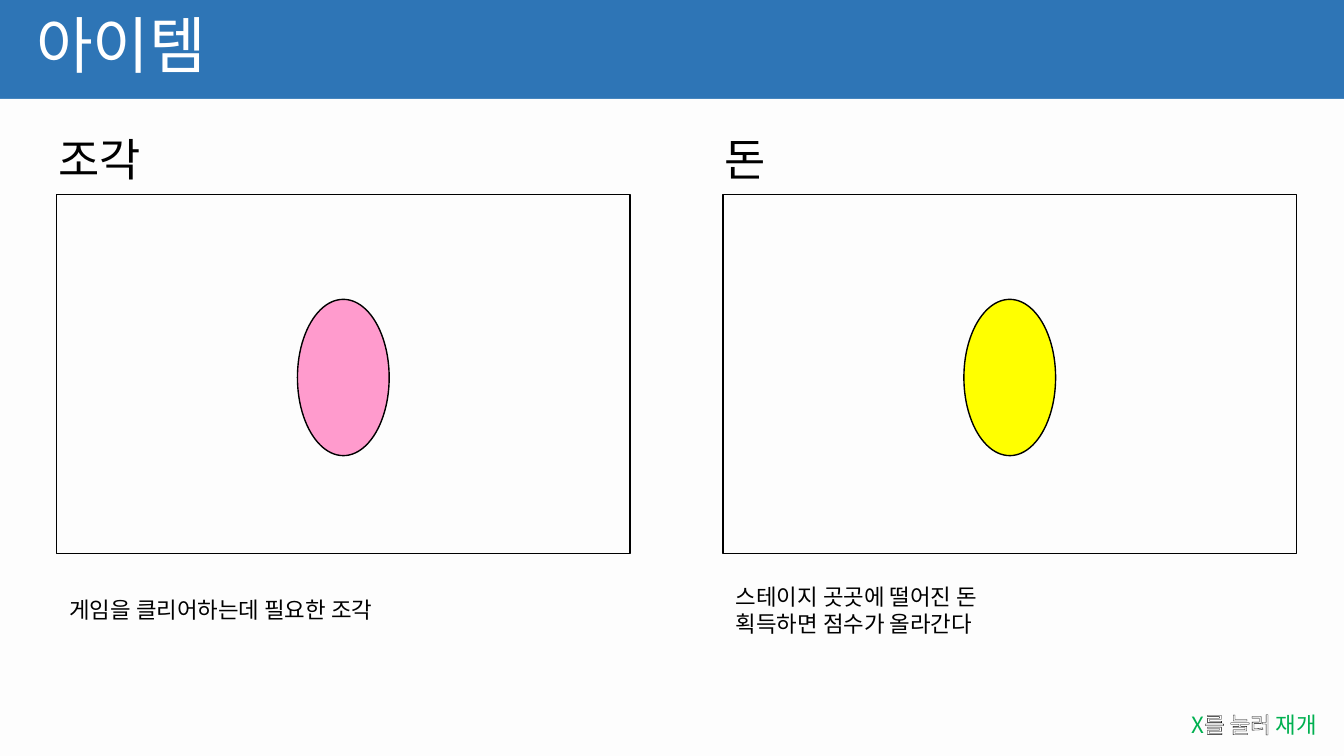
from dataclasses import dataclass

from lxml.etree import SubElement
from pptx import Presentation
from pptx.dml.color import RGBColor as Rgb
from pptx.enum.shapes import MSO_SHAPE as Shape
from pptx.enum.text import MSO_ANCHOR as Anchor, MSO_AUTO_SIZE as Fit, PP_ALIGN as Align
from pptx.oxml import parse_xml
from pptx.oxml.ns import nsdecls, qn
from pptx.util import Inches, Pt


@dataclass(frozen=True)
class Theme:
    font: str = "Noto Sans CJK KR"
    blue: str = "2E75B6"
    paper: str = "FDFDFD"
    white: str = "FFFFFF"
    black: str = "000000"
    green: str = "00B050"
    pink: str = "FF9BCD"
    yellow: str = "FFFF00"
    title: int = 44
    head: int = 32
    body: int = 16


THEME = Theme()
WIDTH, HEIGHT, BAND = 13.33, 7.5, 0.98


def write(shape, lines, size, color=THEME.black, align=Align.LEFT,
          anchor=Anchor.TOP, fit=Fit.SHAPE_TO_FIT_TEXT, space=None, edge=None):
    """Fill a shape with lines; each is a string or a list of (text, color) runs."""
    frame = shape.text_frame
    frame.word_wrap = True
    frame.auto_size = fit
    frame.vertical_anchor = anchor
    for i, line in enumerate(lines):
        para = frame.add_paragraph() if i else frame.paragraphs[0]
        para.alignment = align
        if space:
            para.line_spacing = space
        for text, tint in [(line, color)] if isinstance(line, str) else line:
            run = para.add_run()
            run.text = text
            font = run.font
            font.name, font.size = THEME.font, Pt(size)
            font.color.rgb = Rgb.from_string(tint)
            props = run._r.get_or_add_rPr()
            SubElement(props, qn("a:ea"), typeface=THEME.font)
            if edge:
                props.insert(0, parse_xml(
                    f'<a:ln {nsdecls("a")} w="9525"><a:solidFill>'
                    f'<a:srgbClr val="{edge}"/></a:solidFill></a:ln>'))


def label(slide, box, lines, size, **style):
    write(slide.shapes.add_textbox(*map(Inches, box)), lines, size, **style)


def draw(slide, kind, box, fill=None, line=None):
    shape = slide.shapes.add_shape(kind, *map(Inches, box))
    shape.shadow.inherit = False
    if fill:
        shape.fill.solid()
        shape.fill.fore_color.rgb = Rgb.from_string(fill)
    else:
        shape.fill.background()
    if line:
        shape.line.color.rgb = Rgb.from_string(line)
        shape.line.width = Pt(1)
    else:
        shape.line.fill.background()


def header(slide, box, text):
    title = slide.shapes.title
    title.left, title.top, title.width, title.height = map(Inches, box)
    write(title, [text], THEME.title, color=THEME.white,
          anchor=Anchor.MIDDLE, fit=Fit.NONE, space=0.9)


def card(slide, box, name, notes, color):
    """Place an item's name above its framed oval and the notes below."""
    left, top, width, height = box
    label(slide, (left - 0.08, top - 0.67, 2.36, 0.64), [name], THEME.head)
    draw(slide, Shape.RECTANGLE, box, line=THEME.black)
    wide, tall = 0.91, 1.55
    oval = (left + (width - wide) / 2, top + 1.04, wide, tall)
    draw(slide, Shape.OVAL, oval, fill=color, line=THEME.black)
    deep = 0.1 + 0.27 * len(notes)
    middle = top + height + 0.56
    label(slide, (left + 0.03, middle - deep / 2, 5.62, deep), notes,
          THEME.body, anchor=Anchor.MIDDLE)


def prompt(slide, box):
    runs = [("X", THEME.green), ("를 눌러 ", THEME.white), ("재개", THEME.green)]
    label(slide, box, [runs], THEME.body, align=Align.RIGHT,
          anchor=Anchor.MIDDLE, edge=THEME.black)


def main():
    deck = Presentation()
    deck.slide_width, deck.slide_height = Inches(WIDTH), Inches(HEIGHT)
    slide = deck.slides.add_slide(deck.slide_layouts[5])
    back = slide.background.fill
    back.solid()
    back.fore_color.rgb = Rgb.from_string(THEME.blue)
    draw(slide, Shape.RECTANGLE, (0, BAND, WIDTH, HEIGHT - BAND), fill=THEME.paper)
    header(slide, (0.26, 0, 11.5, 0.97), "아이템")
    items = [
        ("조각", ["게임을 클리어하는데 필요한 조각"], THEME.pink),
        ("돈", ["스테이지 곳곳에 떨어진 돈", "획득하면 점수가 올라간다"], THEME.yellow),
    ]
    for i, item in enumerate(items):
        card(slide, (0.56 + 6.61 * i, 1.93, 5.69, 3.56), *item)
    prompt(slide, (9.31, 7, 3.85, 0.37))
    deck.save("out.pptx")


if __name__ == "__main__":
    main()
